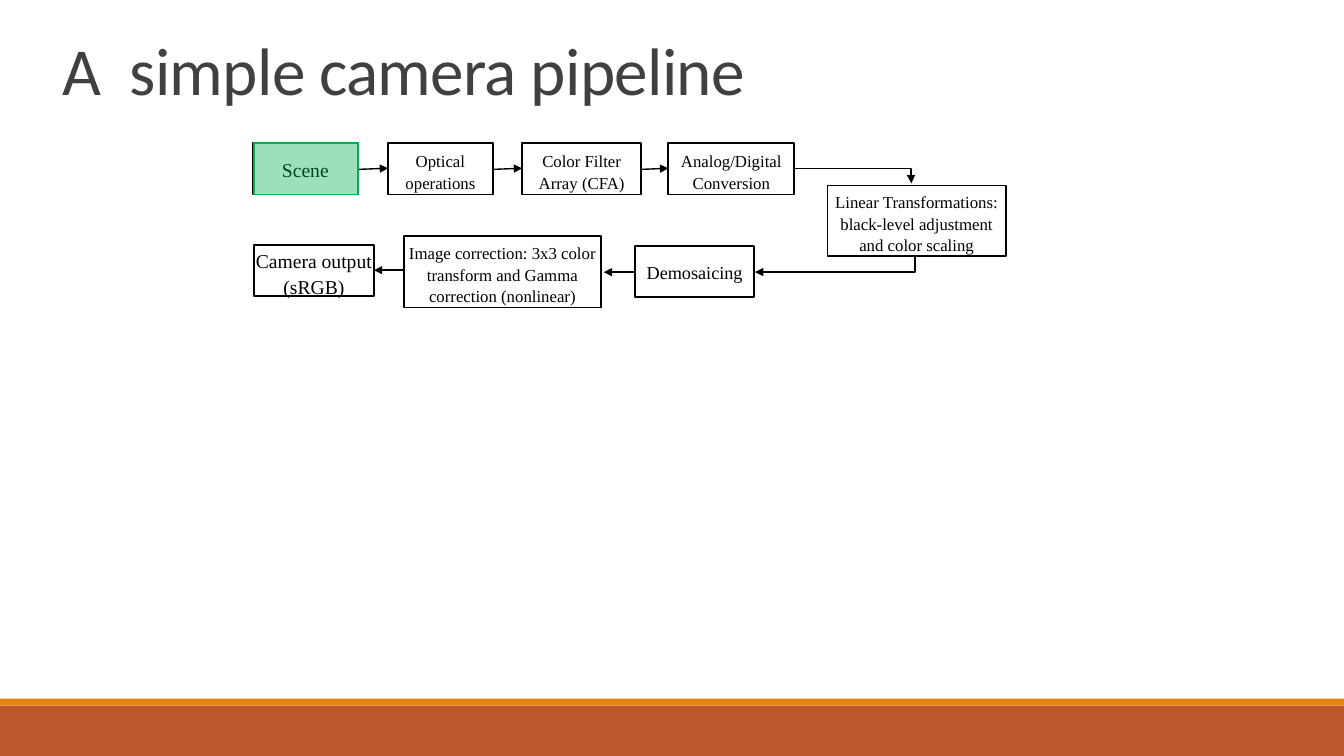
from dataclasses import dataclass
from itertools import pairwise

from lxml import etree
from pptx import Presentation
from pptx.dml.color import RGBColor
from pptx.enum.shapes import MSO_CONNECTOR, MSO_SHAPE
from pptx.enum.text import MSO_ANCHOR, MSO_AUTO_SIZE, PP_ALIGN
from pptx.oxml.ns import qn
from pptx.shapes.autoshape import Shape
from pptx.slide import Slide
from pptx.util import Pt

RECTANGLE = MSO_SHAPE.RECTANGLE
STRAIGHT, ELBOW = MSO_CONNECTOR.STRAIGHT, MSO_CONNECTOR.ELBOW
MIDDLE, CENTER, LEFT = MSO_ANCHOR.MIDDLE, PP_ALIGN.CENTER, PP_ALIGN.LEFT
NO_AUTOFIT = MSO_AUTO_SIZE.NONE
TITLE_ONLY = 5
SLIDE_WIDTH, SLIDE_HEIGHT = 960, 540
ROW_TOP, BOX_HEIGHT = 102.2, 36.7
COLORS = {
    "black": "000000",
    "white": "FFFFFF",
    "title": "404040",
    "green": "00B050",
    "orange": "E48312",
    "rust": "BD582C",
}


@dataclass(frozen=True)
class Stage:
    """A labelled step of the pipeline."""

    lines: tuple[str, ...]
    left: float
    top: float
    width: float
    height: float = BOX_HEIGHT
    size: float = 12
    inset_top: float = 3


@dataclass(frozen=True)
class Arrow:
    """A connector with its arrowhead at the named end."""

    start: tuple[float, float]
    end: tuple[float, float]
    bent: bool = False
    head: str = "tailEnd"


@dataclass(frozen=True)
class Bar:
    """A full-width stripe at the foot of the slide."""

    top: float
    height: float
    color: str


BARS = (Bar(504, 36, "rust"), Bar(499, 5, "orange"))
TOP_ROW = (
    Stage(("Scene",), 180.7, ROW_TOP, 74.9, size=14, inset_top=0),
    Stage(("Optical operations",), 277.2, ROW_TOP, 74.9),
    Stage(("Color Filter Array (CFA)",), 373, ROW_TOP, 85),
    Stage(("Analog/Digital Conversion",), 477.4, ROW_TOP, 90),
)
RETURN_ROW = (
    Stage(("Linear Transformations:", "black-level adjustment and color scaling"),
          591.1, 132.5, 127.4, 50.4),
    Stage(("Demosaicing",), 453.6, 175.7, 85, size=13, inset_top=0),
    Stage(("Image correction: 3x3 color transform and Gamma correction (nonlinear)",),
          288.7, 168.5, 140.4, 51.1),
    Stage(("Camera output (sRGB)",), 181.4, 175, 85.7, size=14),
)
RETURN_ARROWS = (
    Arrow((567.4, 120.2), (651, 131), bent=True),
    Arrow((539.3, 194.4), (654, 183.3), bent=True, head="headEnd"),
    Arrow((452.9, 194.4), (431.3, 194.4)),
    Arrow((288.7, 193), (267.1, 193)),
)


def rgb(name: str) -> RGBColor:
    """Return a named colour."""
    return RGBColor.from_string(COLORS[name])


def add_box(page: Slide, left: float, top: float, width: float, height: float,
            fill: str, line: str | None = None) -> Shape:
    """Draw a flat rectangle."""
    box = page.shapes.add_shape(RECTANGLE, Pt(left), Pt(top), Pt(width), Pt(height))
    box.shadow.inherit = False
    box.fill.solid()
    box.fill.fore_color.rgb = rgb(fill)
    if line:
        box.line.color.rgb = rgb(line)
        box.line.width = Pt(1.25)
    else:
        box.line.fill.background()
    return box


def add_stage(page: Slide, stage: Stage) -> None:
    """Draw a pipeline step with its label."""
    box = add_box(page, stage.left, stage.top, stage.width, stage.height, "white", "black")
    frame = box.text_frame
    frame.word_wrap = True
    frame.auto_size = NO_AUTOFIT
    frame.vertical_anchor = MIDDLE
    frame.margin_left = frame.margin_right = frame.margin_bottom = 0
    frame.margin_top = Pt(stage.inset_top)
    para = frame.paragraphs[0]
    para.alignment = CENTER
    para.line_spacing = 1.07
    para.space_after = Pt(8)
    for index, line in enumerate(stage.lines):
        if index:
            para.add_line_break()
        span = para.add_run()
        span.text = line
        span.font.name = "Times New Roman"
        span.font.size = Pt(stage.size)
        span.font.color.rgb = rgb("black")


def add_arrow(page: Slide, arrow: Arrow) -> None:
    """Draw a straight or right-angled arrow."""
    kind = ELBOW if arrow.bent else STRAIGHT
    link = page.shapes.add_connector(kind, *map(Pt, arrow.start + arrow.end))
    link.line.color.rgb = rgb("black")
    link.line.width = Pt(1)
    properties = link._element.spPr
    etree.SubElement(properties.find(qn("a:ln")), qn(f"a:{arrow.head}"), type="triangle")
    etree.SubElement(properties, qn("a:effectLst"))
    if arrow.bent:
        guides = properties.find(qn("a:prstGeom")).get_or_add_avLst()
        etree.SubElement(guides, qn("a:gd"), name="adj1", fmla="val 99700")


def add_title(page: Slide, text: str) -> None:
    """Place and format the slide title."""
    title = page.shapes.title
    title.left, title.top, title.width, title.height = map(Pt, (37.4, 24.5, 890, 58.3))
    frame = title.text_frame
    frame.word_wrap = True
    frame.auto_size = NO_AUTOFIT
    frame.vertical_anchor = MIDDLE
    para = frame.paragraphs[0]
    para.alignment = LEFT
    para.line_spacing = 0.85
    span = para.add_run()
    span.text = text
    span.font.name = "Calibri"
    span.font.size = Pt(48)
    span.font.color.rgb = rgb("title")
    span.font._element.set("spc", "-50")


def add_scene_tint(page: Slide) -> None:
    """Lay a translucent green panel over the scene."""
    tint = add_box(page, 181.4, ROW_TOP, 74.2, BOX_HEIGHT, "green", "green")
    color = tint._element.spPr.find(qn("a:solidFill")).find(qn("a:srgbClr"))
    etree.SubElement(color, qn("a:alpha"), val="39000")


def main() -> None:
    """Build and save the deck."""
    deck = Presentation()
    deck.slide_width, deck.slide_height = Pt(SLIDE_WIDTH), Pt(SLIDE_HEIGHT)
    page = deck.slides.add_slide(deck.slide_layouts[TITLE_ONLY])
    for bar in BARS:
        add_box(page, 0, bar.top, SLIDE_WIDTH, bar.height, bar.color)
    add_title(page, "A  simple camera pipeline")
    for stage in TOP_ROW + RETURN_ROW:
        add_stage(page, stage)
    for source, target in pairwise(TOP_ROW):
        add_arrow(page, Arrow((source.left + source.width, 121), (target.left, 120.2)))
    for arrow in RETURN_ARROWS:
        add_arrow(page, arrow)
    add_scene_tint(page)
    deck.save("out.pptx")


if __name__ == "__main__":
    main()
